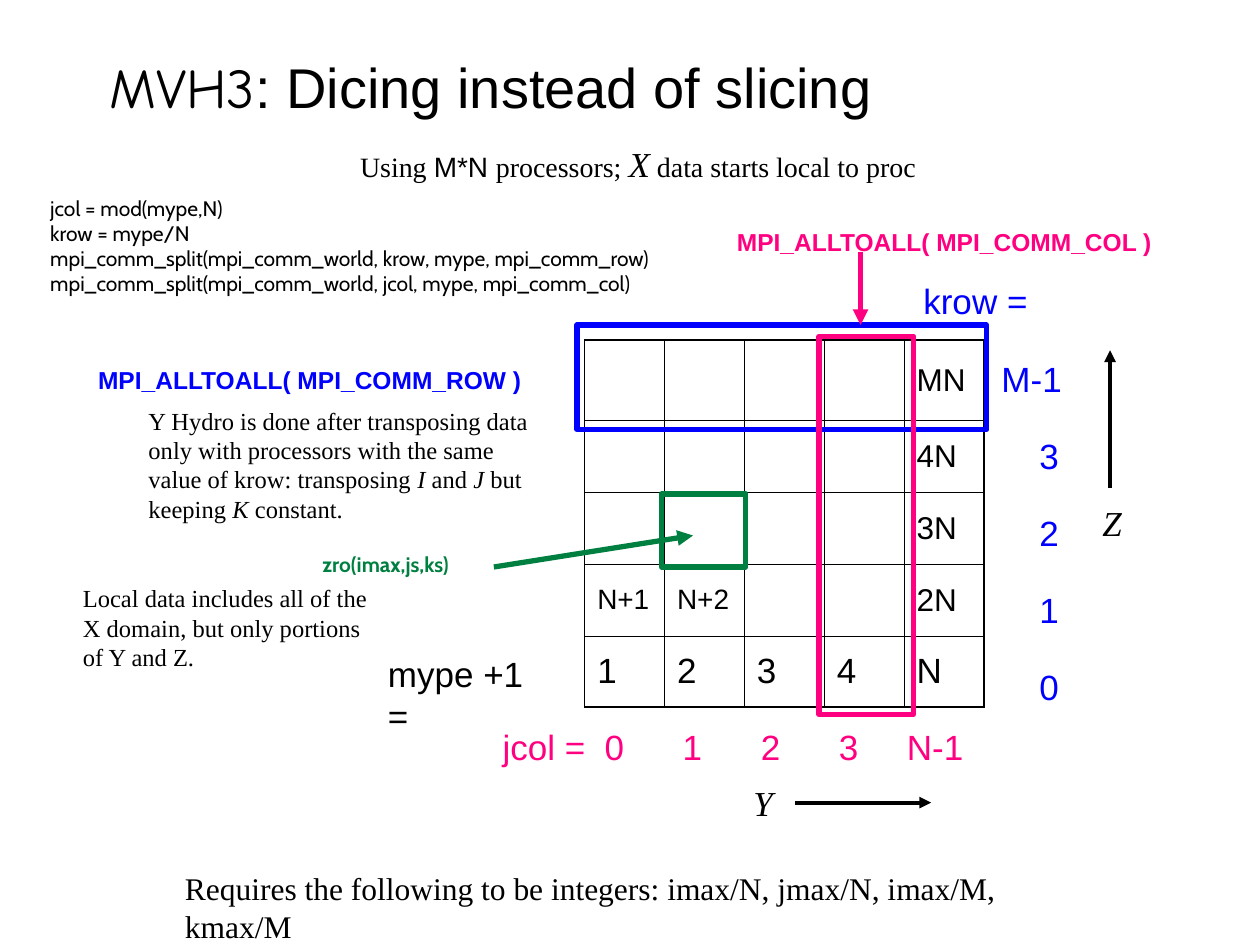
from lxml import etree
from pptx import Presentation
from pptx.dml.color import RGBColor
from pptx.enum import shapes, text
from pptx.oxml import ns
from pptx.util import Inches, Pt

COLORS = {"black": "000000", "blue": "0000FF", "pink": "FF0080", "green": "008040"}
SANS, SERIF, CODE, COMIC = "Arial", "Times New Roman", "Cabin", "Comic Neue"

# Processor grid: text and size per row
GRID_LEFT, GRID_TOP, COLUMN_WIDTH = 4.64, 2.7, 0.634
GRID_ROWS = [
    (0.64, ["", "", "", "", "MN"]),
    (0.57, ["", "", "", "", "4N"]),
    (0.57, ["", "", "", "", "3N"]),
    (0.57, ["N+1", "N+2", "", "", "2N"]),
    (0.56, ["1", "2", "3", "4", "N"]),
]

# Labels: position, wrap, size, font, colour, bold, paragraphs.
# A run is a string, or (string, overrides).
ITALIC = {"italic": True}
LABELS = [
    ((0.77, 0.37, 6.35, 0.64), False, 32, SANS, "black", False,
     [[("MVH3", {"font": COMIC}), ": Dicing instead of slicing"]]),
    ((2.76, 1.08, 4.66, 0.44), False, 16, SERIF, "black", False,
     [["Using ", ("M*N ", {"font": SANS}), "processors; ",
       ("X", {"size": 20, "italic": True}), " data starts local to proc "]]),
    ((0.3, 1.5, 5.29, 0.9), False, 12, CODE, "black", False,
     [["jcol = mod(mype,N)"], ["krow = mype/N"],
      ["mpi_comm_split(mpi_comm_world, krow, mype, mpi_comm_row)"],
      ["mpi_comm_split(mpi_comm_world, jcol, mype, mpi_comm_col)"]]),
    ((5.75, 1.75, 3.51, 0.34), False, 14, SANS, "pink", True,
     [["MPI_ALLTOALL( MPI_COMM_COL )"]]),
    ((0.68, 2.85, 3.58, 0.34), False, 14, SANS, "blue", True,
     [["MPI_ALLTOALL( MPI_COMM_ROW )"]]),
    ((1.08, 3.17, 3.25, 1.04), True, 14, SERIF, "black", False,
     [["Y Hydro is done after transposing data only with processors with the same "
       "value of krow: transposing ", ("I", ITALIC), " and ", ("J", ITALIC),
       " but keeping ", ("K", ITALIC), " constant."]]),
    ((2.46, 4.33, 1.4, 0.3), False, 12, CODE, "green", True, [["zro(imax,js,ks)"]]),
    ((0.56, 4.58, 2.5, 0.8), True, 14, SERIF, "black", False,
     [["Local data includes all of the "], ["X domain, but only portions "],
      ["of Y and Z."]]),
    ((2.98, 5.13, 1.51, 0.44), False, 20, SANS, "black", False, [["mype +1 ="]]),
    ((5.88, 6.15, 0.35, 0.44), False, 20, SERIF, "black", False, [[("Y", ITALIC)]]),
    ((8.65, 3.93, 0.35, 0.44), False, 20, SERIF, "black", False, [[("Z", ITALIC)]]),
    ((1.37, 6.85, 7.54, 0.4), False, 18, SERIF, "black", False,
     [["Requires the following to be integers: imax/N, jmax/N, imax/M, kmax/M"]]),
]
COLUMN_INDEX = ["jcol =", "0", "1", "2", "3", "N-1"]
COLUMN_TABS = [0.81 + 0.62 * i for i in range(4)] + [3.21]
ROW_INDEX = [("krow =", 0), ("M-1", 0.62)] + [(digit, 0.92) for digit in "3210"]

FRAMES = [
    ((4.58, 2.58, 3.25, 0.83), "blue"),
    ((6.5, 2.67, 0.75, 3), "pink"),
    ((5.25, 3.92, 0.67, 0.58), "green"),
]
ARROWS = [
    ((6.31, 6.37, 7.39, 6.37), "black", 2.24),
    ((8.81, 3.87, 8.81, 2.78), "black", 2.24),
    ((6.83, 2, 6.83, 2.58), "pink", 3),
    ((3.92, 4.5, 5.5, 4.25), "green", 3),
]

deck = Presentation()
deck.slide_width, deck.slide_height = Inches(10), Inches(7.5)
page = deck.slides.add_slide(deck.slide_layouts[6])


def color(name):
    return RGBColor.from_string(COLORS[name])


def add_span(para, words, size, font, tint, bold=False, italic=False):
    span = para.add_run()
    span.text = words
    span.font.size, span.font.name = Pt(size), font
    span.font.bold, span.font.italic = bold, italic
    span.font.color.rgb = color(tint)


def add_label(place, wrap, size, font, tint, bold, paragraphs):
    box = page.shapes.add_textbox(*map(Inches, place))
    frame = box.text_frame
    frame.word_wrap = wrap
    frame.auto_size = text.MSO_AUTO_SIZE.SHAPE_TO_FIT_TEXT
    for i, runs in enumerate(paragraphs):
        para = frame.add_paragraph() if i else frame.paragraphs[0]
        for run in runs:
            words, changes = (run, {}) if isinstance(run, str) else run
            style = {"size": size, "font": font, "tint": tint, "bold": bold}
            add_span(para, words, **{**style, **changes})
    return frame


def set_border(cell, side, width):
    line = etree.SubElement(cell._tc.get_or_add_tcPr(), ns.qn("a:ln" + side),
                            w=str(Pt(width)))
    fill = etree.SubElement(line, ns.qn("a:solidFill"))
    etree.SubElement(fill, ns.qn("a:srgbClr"), val=COLORS["black"])


# Processor grid
row_count, column_count = len(GRID_ROWS), len(GRID_ROWS[0][1])
grid = page.shapes.add_table(
    row_count, column_count, Inches(GRID_LEFT), Inches(GRID_TOP),
    Inches(COLUMN_WIDTH * column_count),
    Inches(sum(height for height, _ in GRID_ROWS))).table
grid.first_row = grid.horz_banding = False
for column in grid.columns:
    column.width = Inches(COLUMN_WIDTH)
for r, (height, words) in enumerate(GRID_ROWS):
    grid.rows[r].height = Inches(height)
    for c, word in enumerate(words):
        cell = grid.cell(r, c)
        cell.vertical_anchor = text.MSO_ANCHOR.MIDDLE
        outer = {"L": c == 0, "R": c == column_count - 1,
                 "T": r == 0, "B": r == row_count - 1}
        for side, is_outer in outer.items():
            set_border(cell, side, 1.08 if is_outer else 0.45)
        cell.fill.background()
        if word:
            size = 20 if r == row_count - 1 else 18 if c == column_count - 1 else 16
            add_span(cell.text_frame.paragraphs[0], word, size, SANS, "black")

# Text labels
for label in LABELS:
    add_label(*label)

# Column index, on tab stops
frame = add_label((3.89, 5.71, 3.96, 0.44), True, 20, SANS, "pink", False,
                  [["\t".join(COLUMN_INDEX)]])
tabs = etree.SubElement(frame.paragraphs[0]._p.get_or_add_pPr(), ns.qn("a:tabLst"))
for stop in COLUMN_TABS:
    etree.SubElement(tabs, ns.qn("a:tab"), pos=str(Inches(stop)), algn="l")

# Row index, indented and evenly spaced
frame = add_label((7.23, 2.21, 1.5, 3.4), True, 20, SANS, "blue", False,
                  [[word] for word, _ in ROW_INDEX])
for i, (para, (_, indent)) in enumerate(zip(frame.paragraphs, ROW_INDEX)):
    para.line_spacing = 0.9
    para.space_before = Pt(22.5 if i else 0)
    para._p.get_or_add_pPr().set("marL", str(Inches(indent)))

# Highlight frames
for place, tint in FRAMES:
    outline = page.shapes.add_shape(shapes.MSO_SHAPE.RECTANGLE, *map(Inches, place))
    outline.shadow.inherit = False
    outline.fill.background()
    outline.line.color.rgb, outline.line.width = color(tint), Pt(3)

# Arrows
for ends, tint, width in ARROWS:
    arrow = page.shapes.add_connector(shapes.MSO_CONNECTOR.STRAIGHT, *map(Inches, ends))
    arrow.line.color.rgb, arrow.line.width = color(tint), Pt(width)
    etree.SubElement(arrow.line._get_or_add_ln(), ns.qn("a:tailEnd"), type="triangle")
    etree.SubElement(arrow._element.spPr, ns.qn("a:effectLst"))

deck.save("out.pptx")
